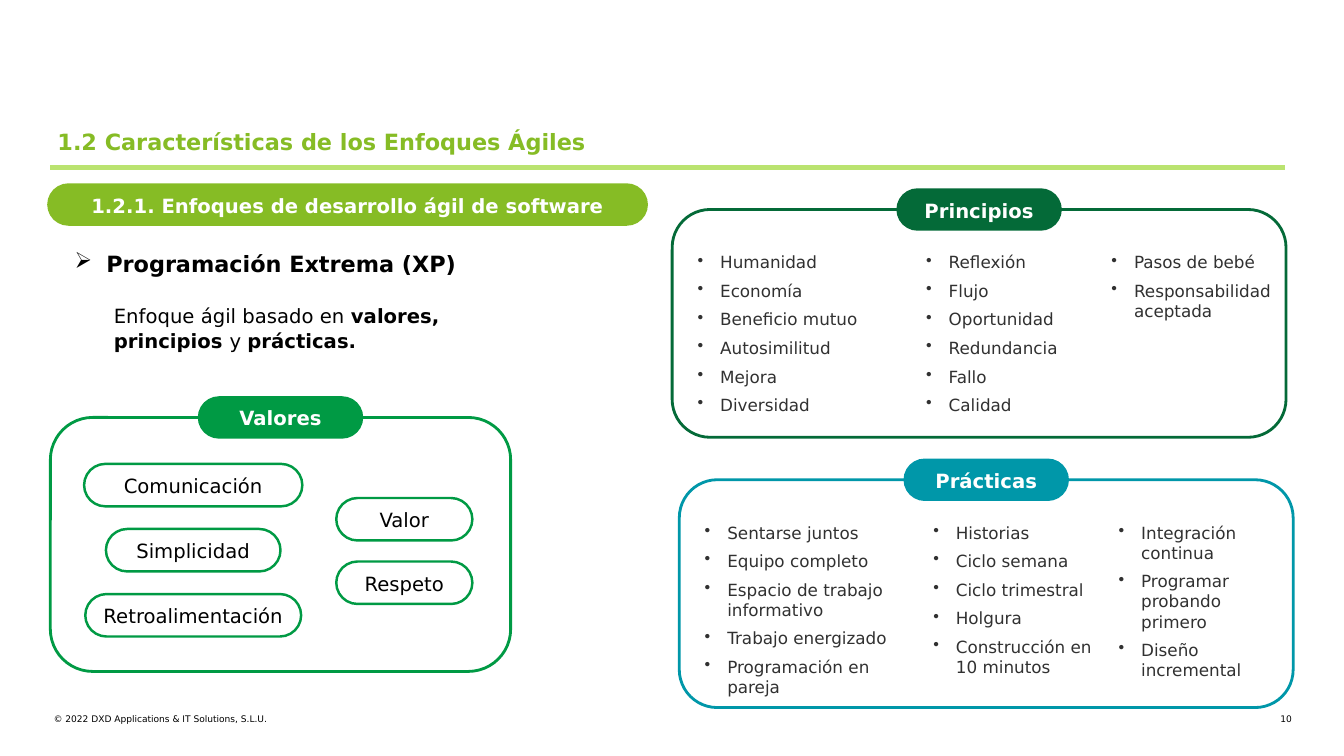
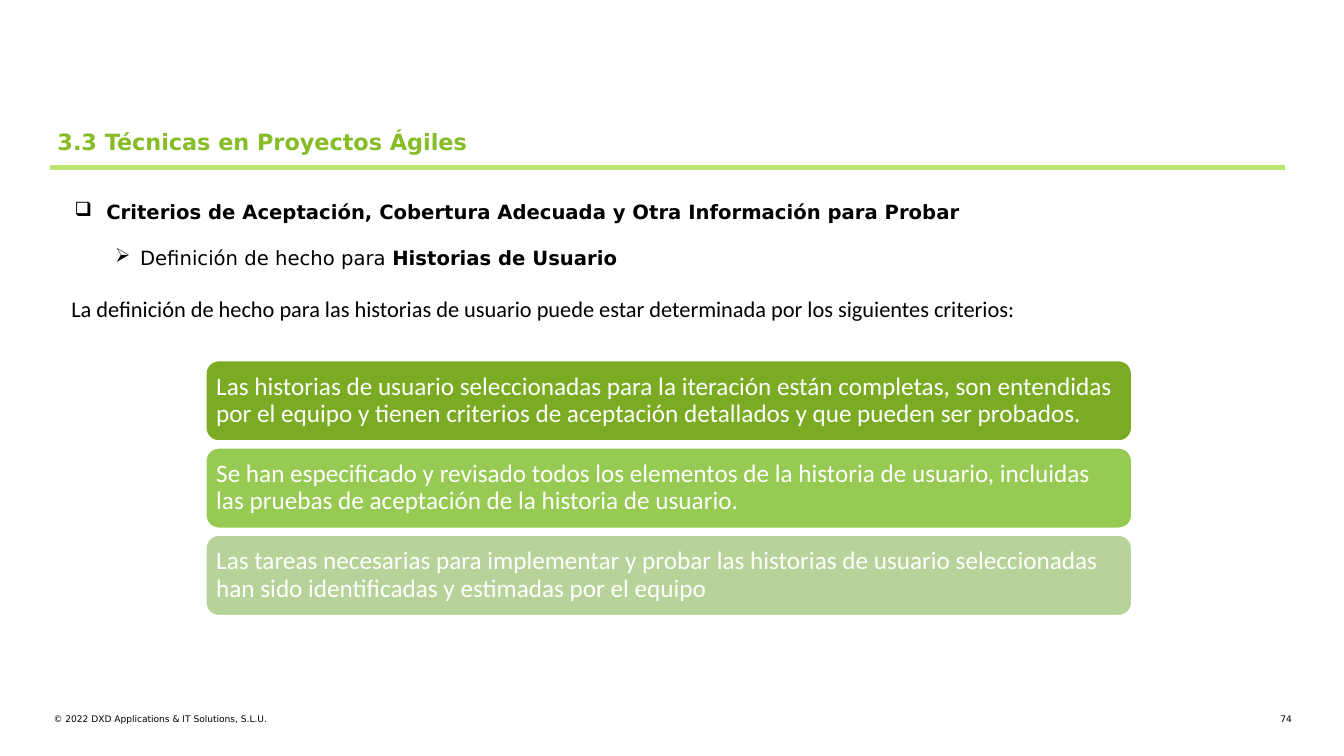
import dataclasses

import lxml.etree
import pptx
import pptx.dml.color
import pptx.enum.shapes
import pptx.enum.text
import pptx.oxml.ns
import pptx.util

Cm = pptx.util.Cm
Pt = pptx.util.Pt
SHAPE = pptx.enum.shapes.MSO_SHAPE
ALIGN = pptx.enum.text.PP_ALIGN
MIDDLE = pptx.enum.text.MSO_ANCHOR.MIDDLE


@dataclasses.dataclass(frozen=True)
class Theme:
    sans: str = "DejaVu Sans"
    plain: str = "Calibri"
    lime: str = "86BC25"
    rule: str = "BAE370"
    green: str = "009A44"
    forest: str = "046A38"
    teal: str = "0097A9"
    black: str = "000000"
    white: str = "FFFFFF"
    gray: str = "313131"
    bars: tuple = ("7AAB22", "97CA52", "B7D39A")
    head: float = 16
    label: float = 14
    item: float = 12
    bar: float = 18
    foot: float = 6.5


THEME = Theme()
CHIP = 1.07


def color(code):
    return pptx.dml.color.RGBColor.from_string(code)


def bullet(para, mark, hang):
    props = para._p.get_or_add_pPr()
    props.set("marL", str(Cm(hang)))
    props.set("indent", str(-Cm(hang)))
    char = lxml.etree.SubElement(props, pptx.oxml.ns.qn("a:buChar"))
    char.set("char", mark)


def style(para, size, tint, font=THEME.sans, bold=False):
    for run in para.runs:
        run.font.size = Pt(size)
        run.font.name = font
        run.font.color.rgb = color(tint)
        if run.font.bold is None:
            run.font.bold = bold


def inset(frame, side):
    frame.margin_left = frame.margin_right = Cm(side)
    frame.margin_top = frame.margin_bottom = 0
    frame.word_wrap = True


def text(slide, box, lines, size, tint=THEME.black, font=THEME.sans,
         bold=False, mark=None, hang=0.8, gap=0, space=None, align=None):
    frame = slide.shapes.add_textbox(*map(Cm, box)).text_frame
    inset(frame, 0)
    frame.text = "\n".join(lines)
    for spot, para in enumerate(frame.paragraphs):
        if mark:
            bullet(para, mark, hang)
        if spot:
            para.space_before = Pt(gap)
        para.line_spacing = space
        para.alignment = align
        style(para, size, tint, font, bold)
    return frame


def extend(para, parts, size):
    for words, bold in parts:
        run = para.add_run()
        run.text = words
        run.font.bold = bold
    style(para, size, THEME.black)


def block(slide, box, fill, edge=None, width=2, curve=None):
    shape = slide.shapes.add_shape(SHAPE.ROUNDED_RECTANGLE, *map(Cm, box))
    shape.shadow.inherit = False
    shape.fill.solid()
    shape.fill.fore_color.rgb = color(fill)
    if edge:
        shape.line.color.rgb = color(edge)
        shape.line.width = Pt(width)
    else:
        shape.line.fill.background()
    if curve is not None:
        shape.adjustments[0] = curve
    return shape


def chip(slide, left, top, width, words, fill, edge=None):
    shape = block(slide, (left, top, width, CHIP), fill, edge, 1.75, 0.5)
    frame = shape.text_frame
    inset(frame, 0.1)
    frame.vertical_anchor = MIDDLE
    frame.text = words
    para = frame.paragraphs[0]
    para.alignment = ALIGN.CENTER
    para.line_spacing = 1.06
    tint = THEME.black if edge else THEME.white
    style(para, THEME.label, tint, bold=not edge)


def panel(slide, box, title, tint):
    left, top, width, height = box
    block(slide, box, THEME.white, tint)
    wide = 4.17
    chip(slide, left + (width - wide) / 2, top - CHIP / 2, wide, title, tint)


def values(slide, box):
    panel(slide, box, "Valores", THEME.green)
    left, top = box[:2]
    groups = (
        (3.6, 1.17, 1.64, (("Comunicación", 5.5), ("Simplicidad", 4.4),
                           ("Retroalimentación", 5.44))),
        (8.92, 2.03, 1.6, (("Valor", 3.43), ("Respeto", 3.43))),
    )
    for mid, start, step, pills in groups:
        for row, (words, width) in enumerate(pills):
            chip(slide, left + mid - width / 2, top + start + row * step,
                 width, words, THEME.white, THEME.green)


def listing(slide, box, title, tint, groups):
    panel(slide, box, title, tint)
    left, top, _, height = box
    slots = ((0.64, 5.05), (6.4, 4.17), (11.07, 4.17))
    for (shift, width), items in zip(slots, groups):
        text(slide, (left + shift, top + 1.07, width, height - 1.5), items,
             THEME.item, THEME.gray, mark="•", hang=0.57, gap=6)


def bars(slide, box, notes):
    left, top, width, height = box
    step = 2.2
    for row, (words, fill) in enumerate(zip(notes, THEME.bars)):
        shape = block(slide, (left, top + row * step, width, height),
                      fill, THEME.white)
        frame = shape.text_frame
        inset(frame, 0.18)
        frame.vertical_anchor = MIDDLE
        frame.text = words
        para = frame.paragraphs[0]
        para.alignment = ALIGN.LEFT
        para.line_spacing = 0.9
        style(para, THEME.bar, THEME.white, THEME.plain)


def base(deck, title, page):
    slide = deck.slides.add_slide(deck.slide_layouts[6])
    text(slide, (1.35, 17.98, 14.88, 0.28),
         ["© 2022 DXD Applications & IT Solutions, S.L.U."], THEME.foot)
    text(slide, (31.7, 17.98, 0.86, 0.28), [page], THEME.foot,
         align=ALIGN.RIGHT)
    line = slide.shapes.add_connector(
        pptx.enum.shapes.MSO_CONNECTOR.STRAIGHT,
        Cm(1.27), Cm(4.22), Cm(32.39), Cm(4.22))
    line.line.color.rgb = color(THEME.rule)
    line.line.width = Pt(3)
    lxml.etree.SubElement(line._element.spPr,
                          pptx.oxml.ns.qn("a:effectLst"))
    text(slide, (1.45, 3.23, 25, 0.7), [title], THEME.head, THEME.lime,
         bold=True)
    return slide


def extreme(deck):
    slide = base(deck, "1.2 Características de los Enfoques Ágiles", "10")
    chip(slide, 1.19, 4.62, 15.14,
         "1.2.1. Enfoques de desarrollo ágil de software", THEME.lime)
    text(slide, (1.88, 6.3, 10.5, 0.7), ["Programación Extrema (XP)"],
         THEME.head, bold=True, mark="➢")
    frame = text(slide, (2.87, 7.62, 9.78, 1.2), [""], THEME.label,
                 space=1.07)
    extend(frame.paragraphs[0], (
        ("Enfoque ágil basado en ", False), ("valores, principios ", True),
        ("y ", False), ("prácticas.", True)), THEME.label)
    values(slide, (1.27, 10.52, 11.6, 6.4))
    listing(slide, (16.94, 5.28, 15.47, 5.74), "Principios", THEME.forest, (
        ("Humanidad", "Economía", "Beneficio mutuo", "Autosimilitud",
         "Mejora", "Diversidad"),
        ("Reflexión", "Flujo", "Oportunidad", "Redundancia", "Fallo",
         "Calidad"),
        ("Pasos de bebé", "Responsabilidad aceptada")))
    listing(slide, (17.12, 12.09, 15.47, 5.74), "Prácticas", THEME.teal, (
        ("Sentarse juntos", "Equipo completo",
         "Espacio de trabajo informativo", "Trabajo energizado",
         "Programación en pareja"),
        ("Historias", "Ciclo semana", "Ciclo trimestral", "Holgura",
         "Construcción en 10 minutos"),
        ("Integración continua", "Programar probando primero",
         "Diseño incremental")))


def stories(deck):
    slide = base(deck, "3.3 Técnicas en Proyectos Ágiles", "74")
    text(slide, (1.88, 5.05, 30, 0.6),
         ["Criterios de Aceptación, Cobertura Adecuada y Otra Información "
          "para Probar"], THEME.label, bold=True, mark="❑")
    frame = text(slide, (2.9, 6.2, 28, 0.6), [""], THEME.label,
                 mark="➢", hang=0.63)
    extend(frame.paragraphs[0], (
        ("Definición de hecho para ", False),
        ("Historias de Usuario", True)), THEME.label)
    text(slide, (1.8, 7.39, 27.5, 0.7),
         ["La definición de hecho para las historias de usuario puede estar "
          "determinada por los siguientes criterios:"],
         THEME.head, font=THEME.plain, space=1.07)
    bars(slide, (5.17, 9.07, 23.37, 2.06), (
        "Las historias de usuario seleccionadas para la iteración están "
        "completas, son entendidas por el equipo y tienen criterios de "
        "aceptación detallados y que pueden ser probados.",
        "Se han especificado y revisado todos los elementos de la historia "
        "de usuario, incluidas las pruebas de aceptación de la historia de "
        "usuario.",
        "Las tareas necesarias para implementar y probar las historias de "
        "usuario seleccionadas han sido identificadas y estimadas por el "
        "equipo"))


def main():
    deck = pptx.Presentation()
    deck.slide_width = Cm(33.87)
    deck.slide_height = Cm(19.05)
    extreme(deck)
    stories(deck)
    deck.save("out.pptx")


if __name__ == "__main__":
    main()
